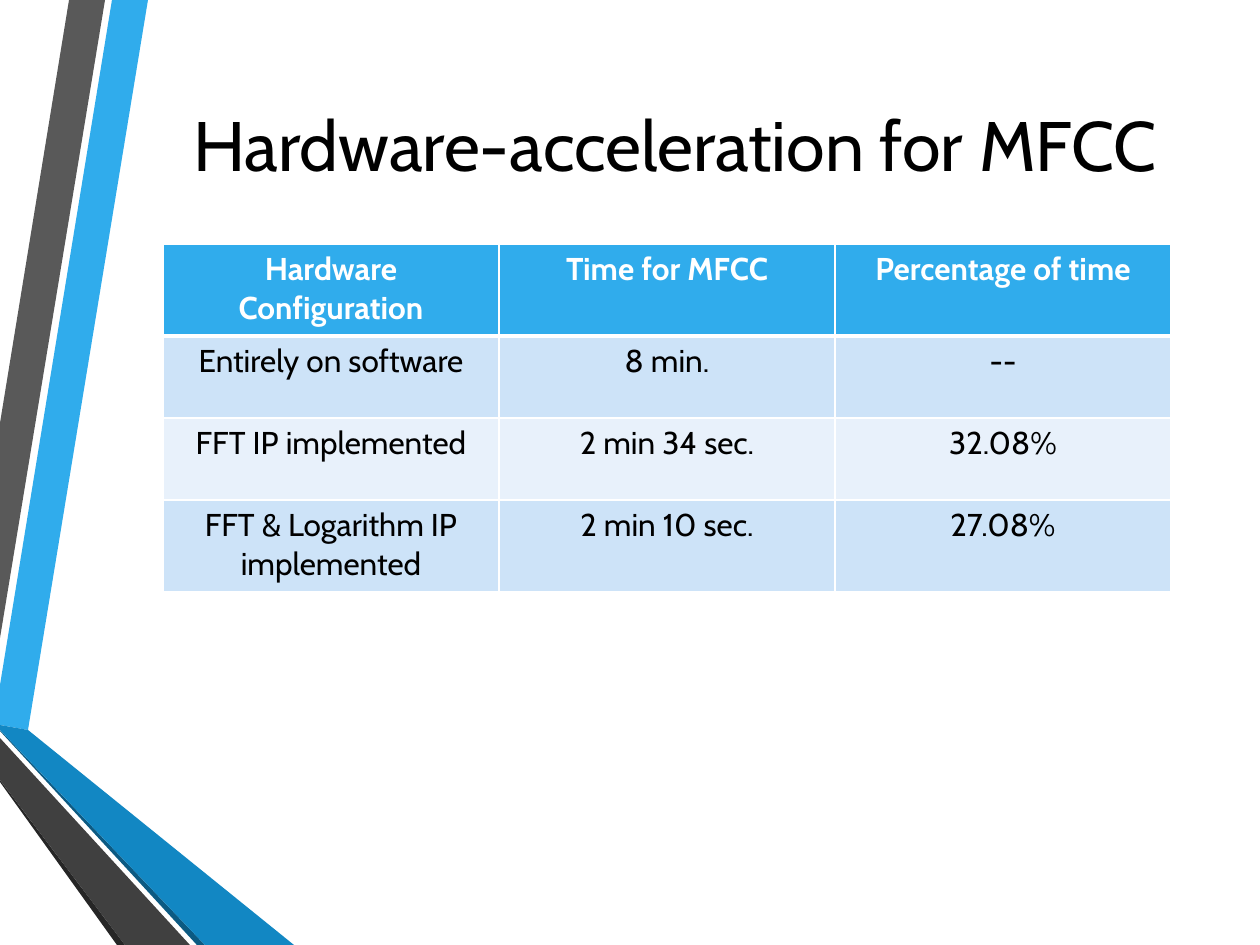
from lxml.etree import SubElement
from pptx import Presentation
from pptx.dml.color import RGBColor as RGB
from pptx.enum.text import MSO_ANCHOR as ANCHOR, PP_ALIGN as ALIGN
from pptx.oxml.ns import qn
from pptx.util import Pt

PX = 914400 // 126
FONT = "Cabin"
COLORS = {
    "sky": "30ACEC", "gray": "595959", "black": "000000", "white": "FFFFFF",
    "charcoal": "262626", "navy": "0C5A82", "blue": "1287C3", "graphite": "404040",
    "band": "CDE3F8", "pale": "E8F1FB",
}


def add_text(tf, text, size, color, bold=False):
    p = tf.paragraphs[0]
    p.alignment = ALIGN.CENTER
    r = p.add_run()
    r.text = text
    r.font.name = FONT
    r.font.size = Pt(size)
    r.font.bold = bold
    r.font.color.rgb = RGB.from_string(COLORS[color])


def set_borders(cell, bottom):
    """Draw white cell borders, 1 pt except for the given bottom width."""
    tcPr = cell._tc.get_or_add_tcPr()
    for i, (side, width) in enumerate([("L", 1), ("R", 1), ("T", 1), ("B", bottom)]):
        ln = SubElement(tcPr, qn(f"a:ln{side}"), w=str(Pt(width)))
        fill = SubElement(ln, qn("a:solidFill"))
        SubElement(fill, qn("a:srgbClr"), val=COLORS["white"])
        tcPr.insert(i, ln)


prs = Presentation()
prs.slide_width, prs.slide_height = 1260 * PX, 945 * PX
s = prs.slides.add_slide(prs.slide_layouts[6])

# Ribbons along the left edge, back to front
ribbons = [
    ("sky", [(0, 685), (0, 725), (28, 730), (148, 0), (112, 0)]),
    ("gray", [(105, 0), (69, 0), (0, 423), (0, 638)]),
    ("charcoal", [(0, 780), (0, 782), (117, 945), (125, 945)]),
    ("navy", [(0, 730), (0, 731), (197, 945), (205, 945)]),
    ("blue", [(0, 730), (205, 945), (294, 945), (28, 730), (0, 725)]),
    ("graphite", [(0, 780), (125, 945), (190, 945), (0, 738)]),
]
for color, points in ribbons:
    fb = s.shapes.build_freeform(*points[0], scale=PX)
    fb.add_line_segments(points[1:], close=True)
    sp = fb.convert_to_shape()
    sp.shadow.inherit = False
    sp.fill.solid()
    sp.fill.fore_color.rgb = RGB.from_string(COLORS[color])
    sp.line.fill.background()

# Title
title = s.shapes.add_textbox(144 * PX, 44 * PX, 1062 * PX, 199 * PX)
tf = title.text_frame
tf.word_wrap = True
tf.vertical_anchor = ANCHOR.MIDDLE
add_text(tf, "Hardware-acceleration for MFCC", 40, "black")

# Timing table
rows = [
    ("Hardware Configuration", "Time for MFCC", "Percentage of time"),
    ("Entirely on software", "8 min.", "--"),
    ("FFT IP implemented", "2 min 34 sec.", "32.08%"),
    ("FFT & Logarithm IP implemented", "2 min 10 sec.", "27.08%"),
]
row_heights = [92, 82, 82, 92]
row_fills = ["sky", "band", "pale", "band"]
table = s.shapes.add_table(
    len(rows), 3, 163 * PX, 244 * PX, 1008 * PX, sum(row_heights) * PX).table
for column in table.columns:
    column.width = 336 * PX
for i, (texts, height, fill) in enumerate(zip(rows, row_heights, row_fills)):
    table.rows[i].height = height * PX
    header = i == 0
    for j, text in enumerate(texts):
        cell = table.cell(i, j)
        cell.fill.solid()
        cell.fill.fore_color.rgb = RGB.from_string(COLORS[fill])
        set_borders(cell, bottom=3 if header else 1)
        add_text(cell.text_frame, text, 18, "white" if header else "black", header)

prs.save("out.pptx")
